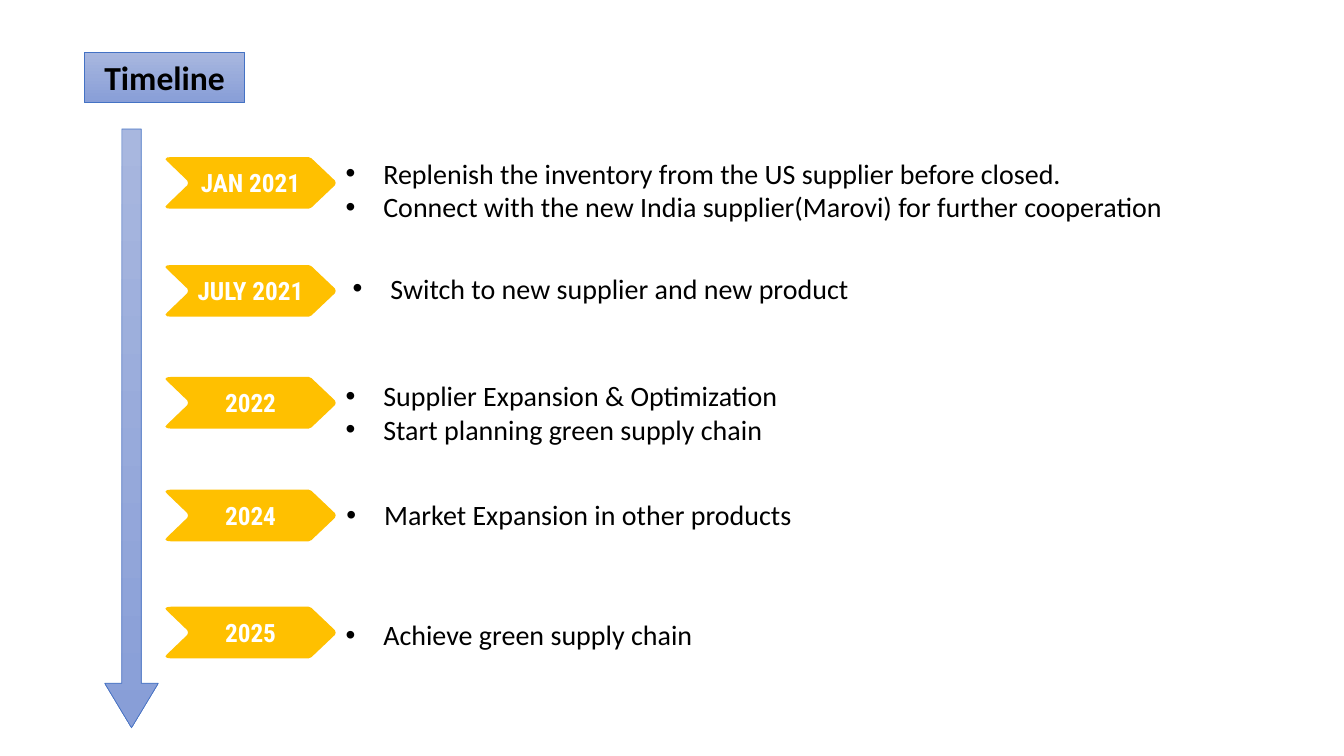
from dataclasses import dataclass

from lxml.etree import SubElement
from pptx import Presentation
from pptx.dml.color import RGBColor as RGB
from pptx.enum.shapes import MSO_SHAPE as Shape
from pptx.enum.text import MSO_ANCHOR as Anchor, MSO_AUTO_SIZE as AutoSize, PP_ALIGN as Align
from pptx.oxml.ns import qn
from pptx.util import Cm, Pt


@dataclass(frozen=True)
class Theme:
    text: RGB = RGB(0x00, 0x00, 0x00)
    flag: RGB = RGB(0xFF, 0xC0, 0x00)
    flag_text: RGB = RGB(0xFF, 0xFF, 0xFF)
    outline: RGB = RGB(0x44, 0x72, 0xC4)
    gradient: tuple = (RGB(0xA8, 0xB7, 0xDF), RGB(0x88, 0x9E, 0xD7))
    body_font: str = "Calibri"
    flag_font: str = "Roboto Condensed"
    title_size: int = 24
    body_size: int = 20
    flag_size: int = 18


# Upper half of a date flag, from the tail notch to the tip, in cm
FLAG_HEIGHT = 1.3
FLAG_EDGE = [(0.57, 0.65), (0.55, 0.59), (0.04, 0.1), (0, 0.05), (0.04, 0.01),
             (0.13, 0), (3.61, 0), (3.68, 0.03), (4.27, 0.59), (4.29, 0.65)]
FLAG_LEFT = 4.17
BULLET_INDENT = 0.95

# Date, flag top, notes left, notes top, notes width, notes
MILESTONES = [
    ("JAN 2021", 3.96, 8.46, 3.81, 21.69,
     ["Replenish the inventory from the US supplier before closed.",
      "Connect with the new India supplier(Marovi) for further cooperation"]),
    ("JULY 2021", 6.68, 8.64, 6.71, 13.44, ["Switch to new supplier and new product"]),
    ("2022", 9.5, 8.46, 9.42, 16.94,
     ["Supplier Expansion & Optimization", "Start planning green supply chain"]),
    ("2024", 12.34, 8.48, 12.42, 11.84, ["Market Expansion in other products"]),
    ("2025", 15.29, 8.46, 15.44, 9.55, ["Achieve green supply chain"]),
]


class TimelineSlide:
    def __init__(self, presentation, theme):
        self.theme = theme
        self.slide = presentation.slides.add_slide(presentation.slide_layouts[6])

    def style_text(self, paragraph, name, size, color, bold=False):
        for run in paragraph.runs:
            font = run.font
            font.name, font.size, font.bold = name, Pt(size), bold
            font.color.rgb = color

    def gradient_shape(self, kind, left, top, width, height):
        shape = self.slide.shapes.add_shape(kind, Cm(left), Cm(top), Cm(width), Cm(height))
        shape.shadow.inherit = False
        shape.fill.gradient()
        shape.fill.gradient_angle = 270
        for stop, color in zip(shape.fill.gradient_stops, self.theme.gradient):
            stop.color.rgb = color
        shape.line.color.rgb = self.theme.outline
        shape.line.width = Pt(0.5)
        return shape

    def arrow(self, left, top, width, height):
        shape = self.gradient_shape(Shape.DOWN_ARROW, left, top, width, height)
        shape.adjustments[0] = 0.36
        shape.adjustments[1] = 0.83

    def title(self, text, left, top, width, height):
        shape = self.gradient_shape(Shape.RECTANGLE, left, top, width, height)
        shape.text_frame.text = text
        paragraph = shape.text_frame.paragraphs[0]
        paragraph.alignment = Align.CENTER
        self.style_text(paragraph, self.theme.body_font, self.theme.title_size,
                        self.theme.text, bold=True)

    def flag(self, text, left, top):
        lower_edge = [(x, FLAG_HEIGHT - y) for x, y in reversed(FLAG_EDGE[1:-1])]
        points = [(Cm(left + x), Cm(top + y)) for x, y in FLAG_EDGE + lower_edge]
        builder = self.slide.shapes.build_freeform(*points[0])
        builder.add_line_segments(points[1:], close=True)
        shape = builder.convert_to_shape()
        shape.shadow.inherit = False
        shape.fill.solid()
        shape.fill.fore_color.rgb = self.theme.flag
        shape.line.fill.background()
        frame = shape.text_frame
        frame.margin_left = frame.margin_right = Cm(0.1)
        frame.margin_top = frame.margin_bottom = Cm(0.05)
        frame.vertical_anchor = Anchor.MIDDLE
        frame.text = text
        paragraph = frame.paragraphs[0]
        paragraph.alignment = Align.CENTER
        self.style_text(paragraph, self.theme.flag_font, self.theme.flag_size,
                        self.theme.flag_text, bold=True)

    def notes(self, lines, left, top, width):
        height = 0.28 + 0.84 * len(lines)
        box = self.slide.shapes.add_textbox(Cm(left), Cm(top), Cm(width), Cm(height))
        frame = box.text_frame
        frame.word_wrap = True
        frame.auto_size = AutoSize.SHAPE_TO_FIT_TEXT
        frame.text = "\n".join(lines)
        for paragraph in frame.paragraphs:
            properties = paragraph._p.get_or_add_pPr()
            properties.set("marL", str(Cm(BULLET_INDENT)))
            properties.set("indent", str(-Cm(BULLET_INDENT)))
            SubElement(properties, qn("a:buFont"), typeface="Arial")
            SubElement(properties, qn("a:buChar"), char="•")
            self.style_text(paragraph, self.theme.body_font, self.theme.body_size,
                            self.theme.text)


def main():
    presentation = Presentation()
    presentation.slide_width, presentation.slide_height = Cm(33.87), Cm(19.05)
    timeline = TimelineSlide(presentation, Theme())

    # Heading and time axis
    timeline.title("Timeline", 2.13, 1.32, 4.04, 1.27)
    timeline.arrow(2.64, 3.25, 1.35, 15.09)

    # Milestones
    for date, flag_top, notes_left, notes_top, notes_width, lines in MILESTONES:
        timeline.flag(date, FLAG_LEFT, flag_top)
        timeline.notes(lines, notes_left, notes_top, notes_width)

    presentation.save("out.pptx")


if __name__ == "__main__":
    main()
